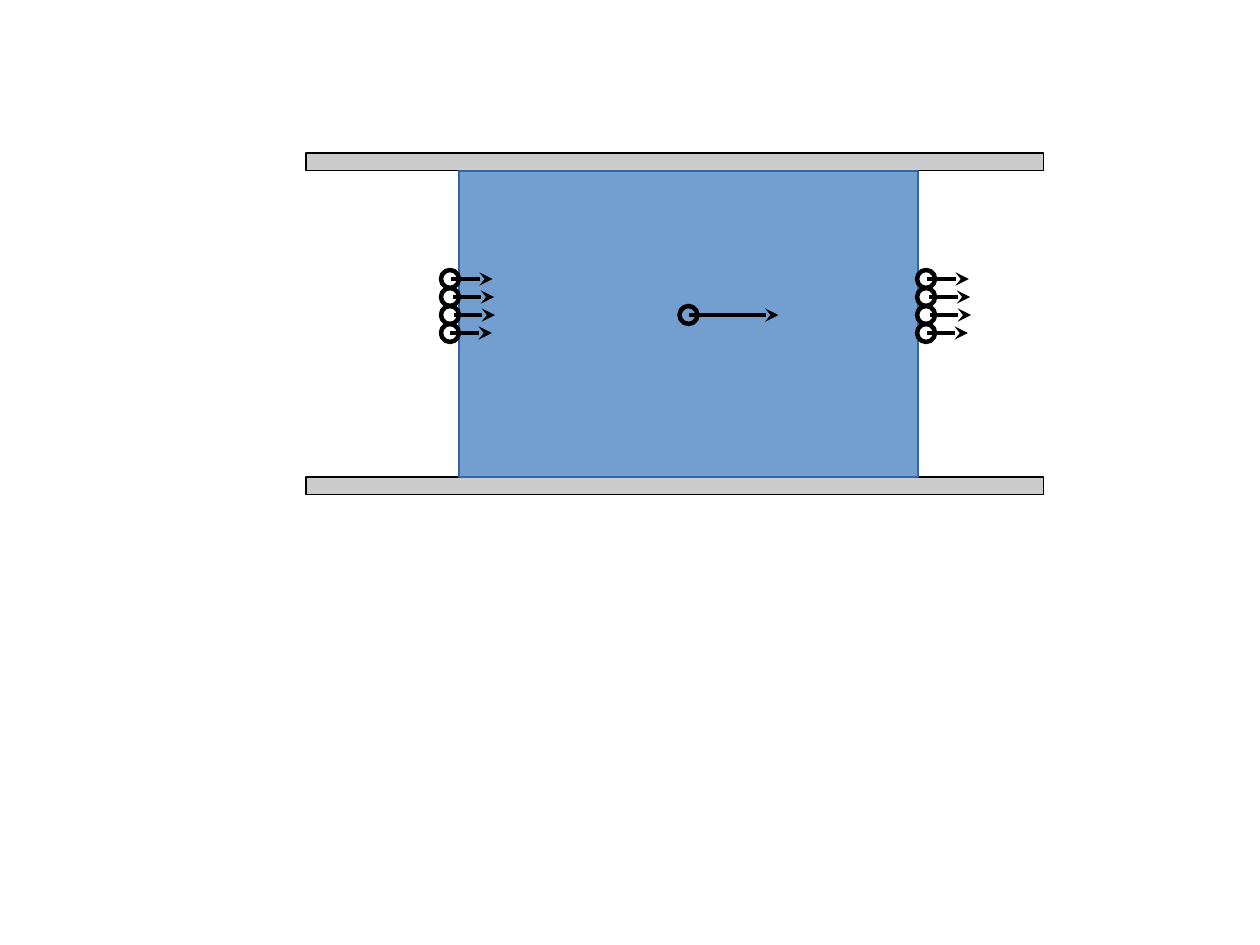
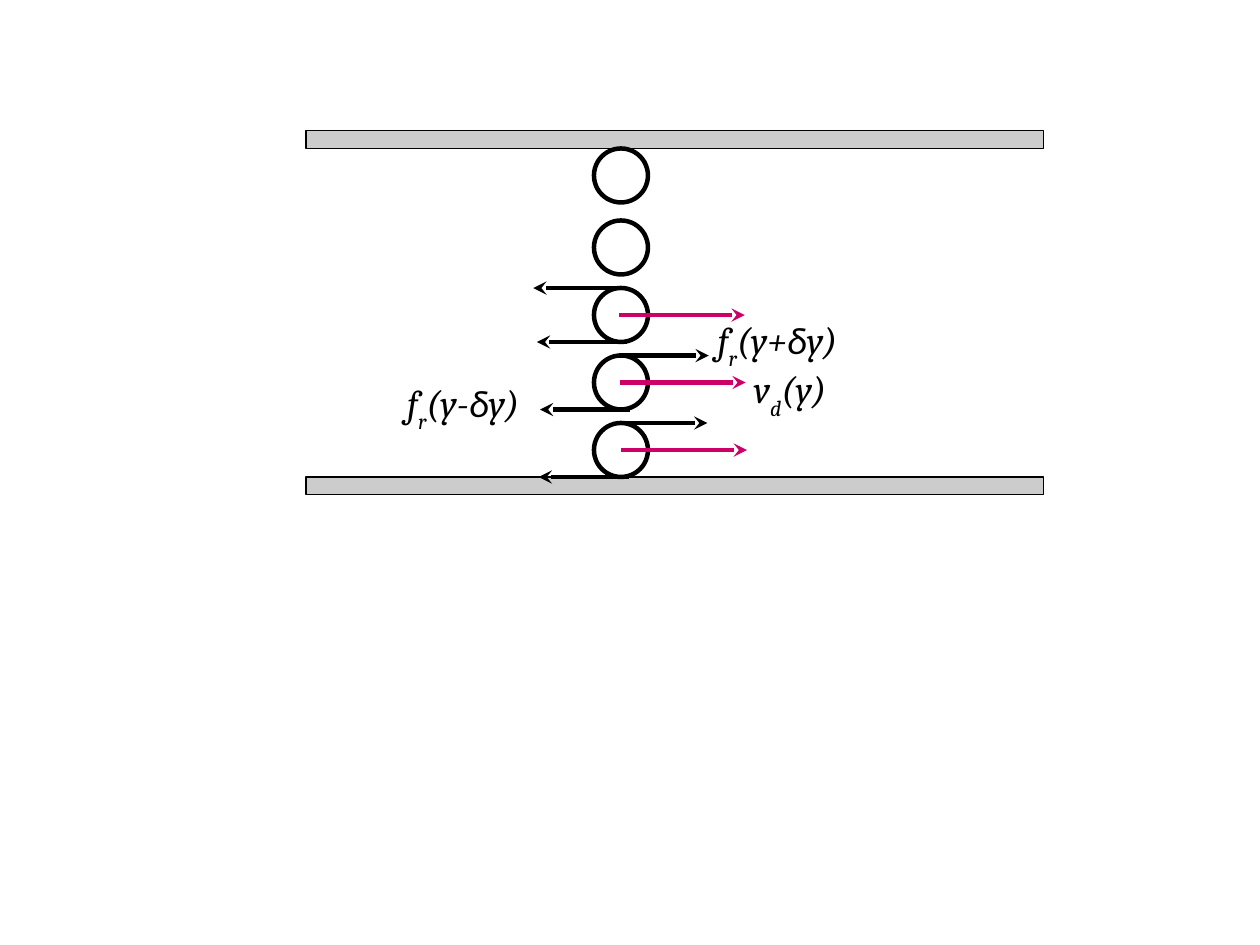
"""Draw a plug between two walls, and the friction on particles in that channel."""
import pptx
import pptx.dml.color
import pptx.enum.shapes
import pptx.enum.text
import pptx.oxml
import pptx.util
from pptx.util import Cm

BLACK = pptx.dml.color.RGBColor(0x00, 0x00, 0x00)
WALL_GREY = pptx.dml.color.RGBColor(0xCC, 0xCC, 0xCC)
PLUG_BLUE = pptx.dml.color.RGBColor(0x72, 0x9F, 0xCF)
PLUG_EDGE = pptx.dml.color.RGBColor(0x34, 0x65, 0xA4)
VELOCITY_PINK = pptx.dml.color.RGBColor(0xCC, 0x00, 0x66)

STROKE = pptx.util.Pt(2.83)
TEXT_SIZE = pptx.util.Pt(24)
SERIF, GREEK = "Cambria", "Calibri"
NORMAL, SUBSCRIPT = 0, -33000
WALL_LEFT, WALL_WIDTH, WALL_HEIGHT = 6.8, 16.4, 0.4
LOWER_WALL_TOP = 10.6
NAMESPACE = "http://schemas.openxmlformats.org/drawingml/2006/main"


def add_figure(slide, kind, box, fill, edge, edge_width):
    shape = slide.shapes.add_shape(kind, *(Cm(length) for length in box))
    shape.shadow.inherit = False
    if fill is None:
        shape.fill.background()
    else:
        shape.fill.solid()
        shape.fill.fore_color.rgb = fill
    shape.line.color.rgb = edge
    shape.line.width = edge_width


def add_rectangle(slide, box, fill, edge, edge_width):
    kind = pptx.enum.shapes.MSO_SHAPE.RECTANGLE
    add_figure(slide, kind, box, fill, edge, edge_width)


def add_walls(slide, upper_top):
    for top in (upper_top, LOWER_WALL_TOP):
        box = (WALL_LEFT, top, WALL_WIDTH, WALL_HEIGHT)
        add_rectangle(slide, box, WALL_GREY, BLACK, 0)


def add_particle(slide, center_x, center_y, diameter):
    box = (center_x - diameter / 2, center_y - diameter / 2, diameter, diameter)
    add_figure(slide, pptx.enum.shapes.MSO_SHAPE.OVAL, box, None, BLACK, STROKE)


def add_arrow(slide, start_x, y, length, color=BLACK):
    connector = slide.shapes.add_connector(
        pptx.enum.shapes.MSO_CONNECTOR.STRAIGHT,
        Cm(start_x), Cm(y), Cm(start_x + length), Cm(y))
    connector.line.color.rgb = color
    connector.line.width = STROKE
    head = pptx.oxml.parse_xml(f'<a:tailEnd xmlns:a="{NAMESPACE}" type="stealth"/>')
    connector.line._get_or_add_ln().append(head)
    no_effect = pptx.oxml.parse_xml(f'<a:effectLst xmlns:a="{NAMESPACE}"/>')
    connector._element.spPr.append(no_effect)


def add_formula(slide, box, runs):
    text_frame = slide.shapes.add_textbox(*(Cm(length) for length in box)).text_frame
    text_frame.word_wrap = True
    text_frame.auto_size = pptx.enum.text.MSO_AUTO_SIZE.SHAPE_TO_FIT_TEXT
    paragraph = text_frame.paragraphs[0]
    for text, font_name, baseline in runs:
        run = paragraph.add_run()
        run.text = text
        run.font.name = font_name
        run.font.size = TEXT_SIZE
        run.font.italic = True
        run.font.color.rgb = BLACK
        if baseline != NORMAL:
            run.font._element.set("baseline", str(baseline))


def add_friction_formula(slide, left, top, sign):
    add_formula(slide, (left, top, 5.1, 2.67), [
        ("f", SERIF, NORMAL), ("r", SERIF, SUBSCRIPT), (f"(y{sign}", SERIF, NORMAL),
        ("δ", GREEK, NORMAL), ("y)", SERIF, NORMAL)])


def draw_plug_slide(slide):
    add_walls(slide, 3.4)
    add_rectangle(slide, (10.2, 3.8, 10.2, 6.8), PLUG_BLUE, PLUG_EDGE, pptx.util.Pt(1.5))
    add_particle(slide, 15.3, 7, 0.4)
    add_arrow(slide, 15.3, 7, 2)
    for center_x in (10, 20.58):
        for row, shift in enumerate((0.03, 0.06, 0.08, 0.01)):
            center_y = 6.2 + 0.4 * row
            add_particle(slide, center_x, center_y, 0.4)
            add_arrow(slide, center_x + shift, center_y, 0.92)


def draw_friction_slide(slide):
    add_walls(slide, 2.9)
    for center_y in (3.9, 5.5, 7, 8.5, 10):
        add_particle(slide, 13.8, center_y, 1.2)
    for start_x, y in ((13.75, 7), (13.77, 8.5), (13.8, 10)):
        add_arrow(slide, start_x, y, 2.8, VELOCITY_PINK)
    for start_x, y in ((13.85, 6.4), (13.93, 7.6), (14, 9.1), (13.97, 10.6)):
        add_arrow(slide, start_x, y, -2)
    for start_x, y in ((13.75, 7.9), (13.72, 9.4)):
        add_arrow(slide, start_x, y, 2)
    add_formula(slide, (16.5, 8, 3.2, 1.6), [
        ("v", SERIF, NORMAL), ("d", SERIF, SUBSCRIPT), ("(y)", SERIF, NORMAL)])
    add_friction_formula(slide, 8.8, 8.3, "-")
    add_friction_formula(slide, 15.7, 6.9, "+")


def main():
    presentation = pptx.Presentation()
    presentation.slide_width, presentation.slide_height = Cm(28), Cm(21)
    blank_layout = presentation.slide_layouts[6]
    for draw in (draw_plug_slide, draw_friction_slide):
        draw(presentation.slides.add_slide(blank_layout))
    presentation.save("out.pptx")


if __name__ == "__main__":
    main()
